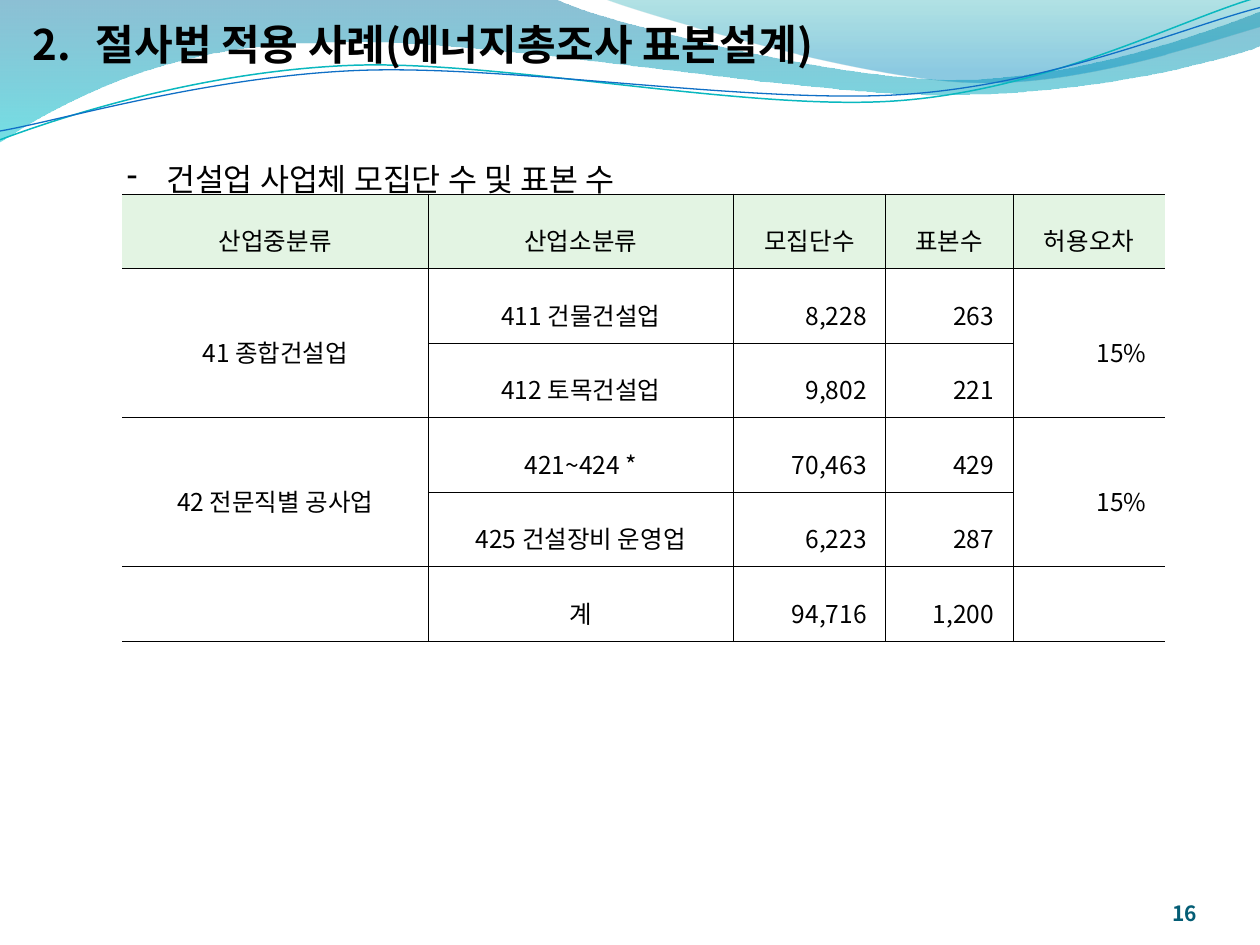
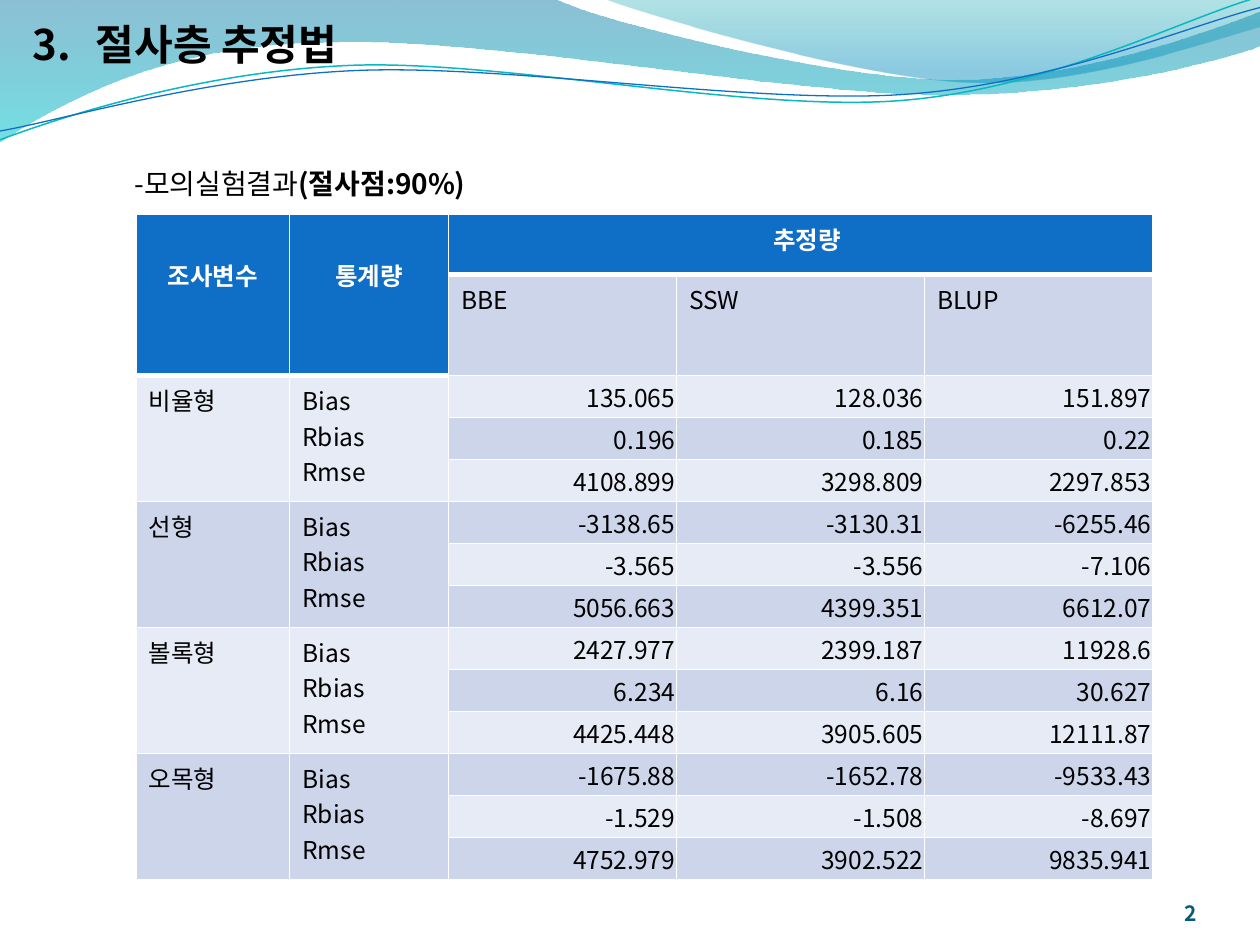
from lxml.etree import SubElement
from pptx import Presentation
from pptx.dml.color import RGBColor
from pptx.enum.text import MSO_ANCHOR, MSO_AUTO_SIZE, PP_ALIGN
from pptx.oxml.ns import qn
from pptx.util import Inches, Pt

FONT = "Noto Sans CJK KR"
COLORS = {
    "ink": "000000", "white": "FFFFFF", "page_number": "045D75",
    "header": "0F6FC6", "band_light": "E7EBF5", "band_dark": "CCD5EA",
    "header_green": "E3F4E3", "deep": "0074A1", "cyan": "00C6CF",
    "teal": "00A1A9", "sky": "008BBF", "line_teal": "0AB8BF", "line_blue": "0F6FC6",
}

# Waves: a start point, then segments of one (line) or three (curve) points.
BANDS = [
    {"start": (0, -0.01), "segments": [
        [(4.4, -0.01)],
        [(4.76, 0.17), (6.64, 0.63), (7.58, 0.63)],
        [(8.53, 0.63), (9.58, 0.26), (10, 0.09)],
        [(10.01, 0.36)],
        [(9.83, 0.44), (8.7, 0.76), (7.46, 0.75)],
        [(6.22, 0.75), (3.82, 0.28), (2.57, 0.34)],
        [(1.29, 0.35), (0.46, 0.83), (-0.01, 1.13)],
        [(0, -0.01)]],
     "stops": [(0, "deep", 45), (1, "cyan", 55)]},
    {"start": (4.79, -0.01), "segments": [
        [(5.09, 0.11), (6.82, 0.62), (7.69, 0.65)],
        [(8.56, 0.69), (9.61, 0.32), (10, 0.21)],
        [(10, 0)],
        [(4.79, -0.01)]],
     "stops": [(0, "teal", 30), (0.8, "sky", 45)]},
]
CURVES = [
    {"start": (0, 1.11), "segments": [
        [(0.48, 0.93), (1.58, 0.57), (2.77, 0.52)],
        [(3.95, 0.47), (5.93, 0.89), (7.13, 0.8)],
        [(8.33, 0.71), (9.38, 0.15), (9.98, -0.02)]],
     "color": "line_teal", "width": 0.85},
    {"start": (0, 1.04), "segments": [
        [(0.47, 0.96), (1.64, 0.61), (2.83, 0.56)],
        [(4.03, 0.51), (5.97, 0.83), (7.17, 0.75)],
        [(8.36, 0.67), (9.41, 0.21), (10, 0.06)]],
     "color": "line_blue", "width": 0.75},
]

POPULATION = [
    ["산업중분류", "산업소분류", "모집단수", "표본수", "허용오차"],
    ["41 종합건설업", "411 건물건설업", "8,228", "263", "15%"],
    ["", "412 토목건설업", "9,802", "221", ""],
    ["42 전문직별 공사업", "421~424 *", "70,463", "429", "15%"],
    ["", "425 건설장비 운영업", "6,223", "287", ""],
    ["", "계", "94,716", "1,200", ""],
]
STATISTICS = "Bias\nRbias\nRmse"
ESTIMATES = {
    "비율형": [("135.065", "128.036", "151.897"), ("0.196", "0.185", "0.22"),
            ("4108.899", "3298.809", "2297.853")],
    "선형": [("-3138.65", "-3130.31", "-6255.46"), ("-3.565", "-3.556", "-7.106"),
           ("5056.663", "4399.351", "6612.07")],
    "볼록형": [("2427.977", "2399.187", "11928.6"), ("6.234", "6.16", "30.627"),
            ("4425.448", "3905.605", "12111.87")],
    "오목형": [("-1675.88", "-1652.78", "-9533.43"), ("-1.529", "-1.508", "-8.697"),
            ("4752.979", "3902.522", "9835.941")],
}


def rgb(name):
    return RGBColor.from_string(COLORS[name])


def apply(target, **values):
    for name, value in values.items():
        setattr(target, name, value)


def add_run(paragraph, text, size, color="ink", bold=False):
    run = paragraph.add_run()
    run.text = text
    apply(run.font, size=Pt(size), bold=bold, name=FONT)
    run.font.color.rgb = rgb(color)
    SubElement(run.font._element, qn("a:ea"), typeface=FONT)


def hang(paragraph, indent, bullet=None, **attributes):
    """Hanging indent in inches, with an optional bullet element."""
    props = paragraph._p.get_or_add_pPr()
    props.set("marL", str(Inches(indent)))
    props.set("indent", str(-Inches(indent)))
    if bullet:
        SubElement(props, qn(bullet), **attributes)


def wave(slide, start, segments, close):
    """Freeform whose three-point segments become cubic curves."""
    points = [(Inches(x), Inches(y)) for x, y in [start] + sum(segments, [])]
    builder = slide.shapes.build_freeform(*points[0])
    builder.add_line_segments(points[1:], close=close)
    shape = builder.convert_to_shape()
    shape.shadow.inherit = False
    lines = iter(list(shape.element.iter(qn("a:lnTo"))))
    for segment in segments:
        steps = [next(lines) for _ in segment]
        if len(steps) == 3:
            steps[0].addprevious(curve := steps[0].makeelement(qn("a:cubicBezTo")))
            for step in steps:
                curve.append(step[0])
                step.getparent().remove(step)
    return shape


def move_to_layout(shape, layout):
    layout.shapes.element.append(shape.element)


def add_waves(slide, layout):
    """Draw the header waves and hand them to the layout, for every slide."""
    for band in BANDS:
        shape = wave(slide, band["start"], band["segments"], True)
        shape.line.fill.background()
        shape.fill.gradient()
        shape.fill.gradient_angle = 270
        for stop, (position, color, _) in zip(shape.fill.gradient_stops, band["stops"]):
            stop.position = position
            stop.color.rgb = rgb(color)
        for color, (_, _, opacity) in zip(shape.element.iter(qn("a:srgbClr")), band["stops"]):
            SubElement(color, qn("a:alpha"), val=str(opacity * 1000))
        move_to_layout(shape, layout)
    for curve in CURVES:
        shape = wave(slide, curve["start"], curve["segments"], False)
        shape.fill.background()
        shape.line.color.rgb = rgb(curve["color"])
        shape.line.width = Pt(curve["width"])
        move_to_layout(shape, layout)


def add_title(slide, number, text):
    title = slide.shapes.title
    apply(title, left=Inches(0.16), top=Inches(0), width=Inches(7), height=Inches(0.7))
    apply(title.text_frame, word_wrap=True, auto_size=MSO_AUTO_SIZE.NONE,
          vertical_anchor=MSO_ANCHOR.MIDDLE)
    heading = title.text_frame.paragraphs[0]
    heading.alignment = PP_ALIGN.LEFT
    hang(heading, 0.5, "a:buAutoNum", type="arabicPeriod", startAt=str(number))
    add_run(heading, text, 24, bold=True)


def add_page_number(slide, number):
    frame = slide.shapes.add_textbox(
        *map(Inches, (8.67, 6.95, 0.83, 0.4))).text_frame
    apply(frame, word_wrap=True, vertical_anchor=MSO_ANCHOR.BOTTOM,
          margin_left=0, margin_top=0, margin_right=0, margin_bottom=0)
    frame.paragraphs[0].alignment = PP_ALIGN.RIGHT
    add_run(frame.paragraphs[0], number, 12, "page_number", True)


def add_caption(slide, box):
    frame = slide.shapes.add_textbox(*map(Inches, box)).text_frame
    frame.word_wrap = True
    caption = frame.paragraphs[0]
    caption.line_spacing = 1.5
    return caption


def add_grid(slide, left, top, widths, heights):
    table = slide.shapes.add_table(
        len(heights), len(widths),
        *map(Inches, (left, top, sum(widths), sum(heights)))).table
    apply(table, first_row=False, horz_banding=False)
    for column, width in zip(table.columns, widths):
        column.width = Inches(width)
    for row, height in zip(table.rows, heights):
        row.height = Inches(height)
    return table


def set_borders(cell, color, **widths):
    """Border widths in points by side L, R, T, B; zero hides the side."""
    props = cell._tc.get_or_add_tcPr()
    for index, side in enumerate("LRTB"):
        line = SubElement(props, qn(f"a:ln{side}"), w=str(Pt(widths[side])))
        if widths[side]:
            paint = SubElement(line, qn("a:solidFill"))
            SubElement(paint, qn("a:srgbClr"), val=COLORS[color])
        else:
            SubElement(line, qn("a:noFill"))
        props.insert(index, line)


def fill_cell(cell, text, fill=None, align=PP_ALIGN.LEFT, color="ink", bold=False,
              spacing=None, margins=(0.1, 0.05, 0.1, 0.05), anchor=MSO_ANCHOR.TOP):
    if fill:
        cell.fill.solid()
        cell.fill.fore_color.rgb = rgb(fill)
    else:
        cell.fill.background()
    cell.vertical_anchor = anchor
    for side, margin in zip(("left", "top", "right", "bottom"), margins):
        setattr(cell, f"margin_{side}", Inches(margin))
    if not text:
        return
    for index, line in enumerate(text.split("\n")):
        frame = cell.text_frame
        paragraph = frame.add_paragraph() if index else frame.paragraphs[0]
        apply(paragraph, alignment=align, line_spacing=spacing)
        add_run(paragraph, line, 14, color, bold)


def add_population_table(slide, left, top):
    table = add_grid(slide, left, top, [2.43, 2.42, 1.21, 1.01, 1.21],
                     [3.55 / len(POPULATION)] * len(POPULATION))
    for r, record in enumerate(POPULATION):
        for c, text in enumerate(record):
            cell = table.cell(r, c)
            numeric = r > 0 and c > 1
            fill_cell(cell, text, None if r else "header_green",
                      PP_ALIGN.RIGHT if numeric else PP_ALIGN.CENTER, spacing=1.5,
                      margins=(0.07, 0.02, 0.15 if numeric else 0.07, 0.02),
                      anchor=MSO_ANCHOR.MIDDLE)
            set_borders(cell, "ink", L=0.56 if c else 0, R=0.56 if c < 4 else 0,
                        T=0.56, B=0.56)
    for r in (1, 3):
        for c in (0, 4):
            table.cell(r, c).merge(table.cell(r + 1, c))


def add_estimate_table(slide, left, top):
    table = add_grid(slide, left, top, [1.22, 1.26, 1.81, 1.97, 1.81],
                     [0.48, 0.8] + [1 / 3] * 12)
    header = {"fill": "header", "align": PP_ALIGN.CENTER, "color": "white", "bold": True}
    tall = {**header, "margins": (0.1, 0.34, 0.1, 0.05)}
    wide = {**header, "margins": (0.2, 0.05, 0.1, 0.05)}
    number = {"align": PP_ALIGN.RIGHT, "margins": (0.01, 0.01, 0.01, 0),
              "anchor": MSO_ANCHOR.MIDDLE}
    bands = ("band_light", "band_dark")

    for c, text in enumerate(("조사변수", "통계량")):
        fill_cell(table.cell(0, c), text, **tall)
        fill_cell(table.cell(1, c), "", **header)
    for c, text in enumerate(("BBE", "SSW", "BLUP"), 2):
        fill_cell(table.cell(0, c), "추정량" if c == 2 else "", **wide)
        fill_cell(table.cell(1, c), text, "band_dark")
    for group, (variable, records) in enumerate(ESTIMATES.items()):
        for offset, values in enumerate(records):
            r = 2 + 3 * group + offset
            for c, text in enumerate((variable, STATISTICS)):
                fill_cell(table.cell(r, c), "" if offset else text, bands[group % 2])
            for c, value in enumerate(values, 2):
                fill_cell(table.cell(r, c), value, bands[r % 2], **number)

    thin, thick = 0.5, 3
    for r in range(14):
        for c in range(5):
            header_end = 1 if c < 2 else 0
            set_borders(table.cell(r, c), "white", L=thin, R=thin,
                        T=thick if r == header_end + 1 else thin,
                        B=thick if r <= header_end else thin)
    table.cell(0, 2).merge(table.cell(0, 4))
    for c in (0, 1):
        table.cell(0, c).merge(table.cell(1, c))
        for r in range(2, 14, 3):
            table.cell(r, c).merge(table.cell(r + 2, c))


def build_population_slide(slide):
    add_page_number(slide, "16")
    add_title(slide, 2, "절사법 적용 사례(에너지총조사 표본설계)")
    add_population_table(slide, 0.97, 1.54)
    caption = add_caption(slide, (0.91, 1.07, 8.36, 1.36))
    hang(caption, 0.31, "a:buChar", char="-")
    add_run(caption, "건설업 사업체 모집단 수 및 표본 수", 18)


def build_estimate_slide(slide):
    add_page_number(slide, "2")
    add_title(slide, 3, "절사층 추정법")
    caption = add_caption(slide, (0.97, 1.14, 8.36, 0.5))
    hang(caption, 0.5)
    add_run(caption, "-모의실험결과", 16)
    add_run(caption, "(절사점:90%)", 16, bold=True)
    add_estimate_table(slide, 1.08, 1.7)


def main():
    deck = Presentation()
    apply(deck, slide_width=Inches(10), slide_height=Inches(7.5))
    title_only = deck.slide_layouts[5]
    population, estimates = (deck.slides.add_slide(title_only) for _ in range(2))
    add_waves(population, title_only)
    build_population_slide(population)
    build_estimate_slide(estimates)
    deck.save("out.pptx")


if __name__ == "__main__":
    main()
